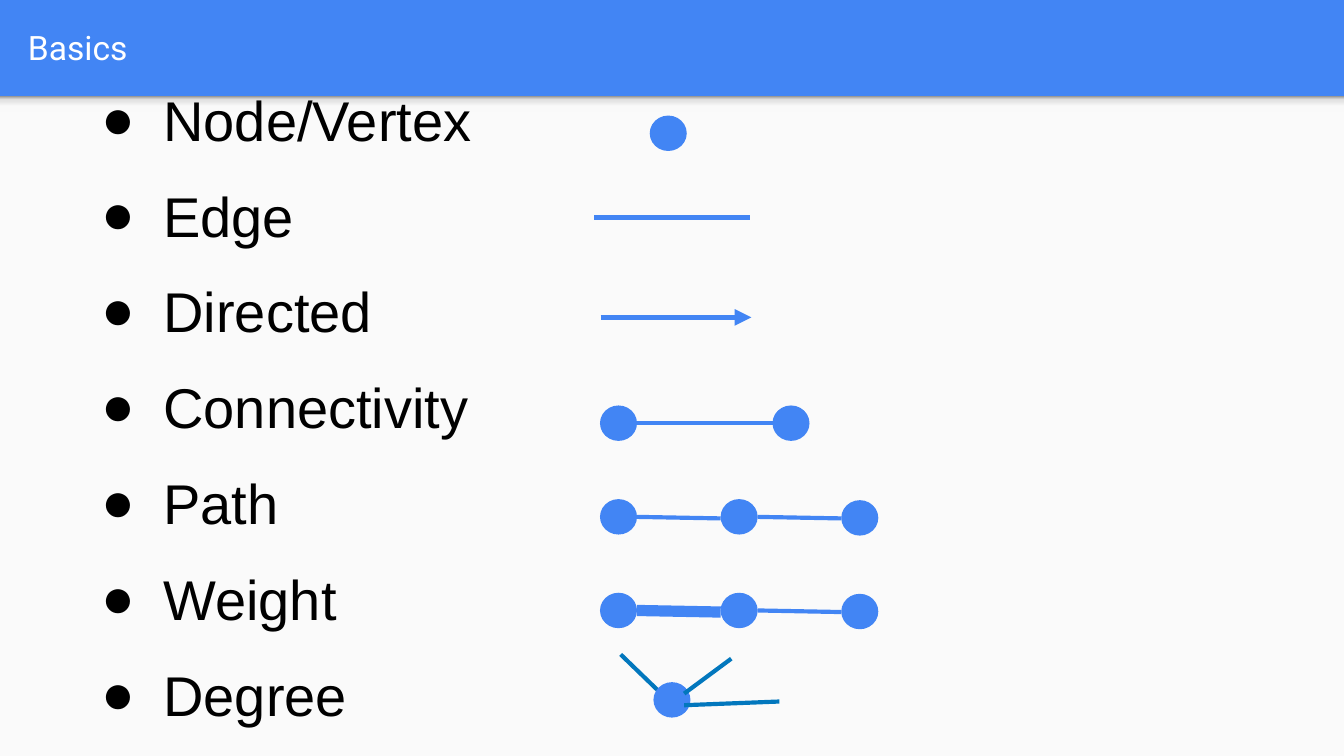
import dataclasses
import itertools
import typing

import pptx
import pptx.dml.color
import pptx.enum.shapes
import pptx.enum.text
import pptx.oxml
import pptx.oxml.ns
import pptx.util

Cm = pptx.util.Cm
Pt = pptx.util.Pt

COLOURS = {
    "blue": "4285F4",
    "dark blue": "0277BD",
    "paper": "FAFAFA",
    "black": "000000",
    "white": "FFFFFF",
}
SHADOW_STOPS = [(0, "F9F9F9"), (36, "F9F9F9"), (80, "DEDEDE"), (100, "999999")]
TERMS = ["Node/Vertex", "Edge", "Directed", "Connectivity", "Path", "Weight", "Degree"]
NAMESPACE = pptx.oxml.ns.nsdecls("a")
SHAPES = pptx.enum.shapes.MSO_SHAPE

PAGE_WIDTH, PAGE_HEIGHT, HEADER_HEIGHT = 25.4, 14.29, 1.82
NODE_WIDTH, NODE_HEIGHT = 0.7, 0.67


# All places and lengths are in centimetres, line weights in points.
@dataclasses.dataclass
class Node:
    x: float
    y: float


@dataclasses.dataclass
class Edge:
    start: tuple[float, float]
    end: tuple[float, float]
    weight: float = 2.25
    colour: str = "blue"
    directed: bool = False


def rgb(name: str) -> pptx.dml.color.RGBColor:
    return pptx.dml.color.RGBColor.from_string(COLOURS[name])


def set_values(target: typing.Any, values: dict[str, typing.Any]) -> None:
    for name, value in values.items():
        setattr(target, name, value)


def draw_shape(shapes, kind, left: float, top: float, width: float, height: float, colour: str):
    shape = shapes.add_shape(kind, Cm(left), Cm(top), Cm(width), Cm(height))
    shape.shadow.inherit = False
    shape.fill.solid()
    shape.fill.fore_color.rgb = rgb(colour)
    shape.line.fill.background()
    return shape


def draw_node(shapes, node: Node) -> None:
    draw_shape(shapes, SHAPES.OVAL, node.x - NODE_WIDTH / 2, node.y - NODE_HEIGHT / 2,
               NODE_WIDTH, NODE_HEIGHT, "blue")


def draw_edge(shapes, edge: Edge) -> None:
    line = shapes.add_connector(pptx.enum.shapes.MSO_CONNECTOR.STRAIGHT,
                                *map(Cm, edge.start + edge.end))
    line.line.color.rgb = rgb(edge.colour)
    line.line.width = Pt(edge.weight)
    if edge.directed:
        line.line._get_or_add_ln().append(
            pptx.oxml.parse_xml(f'<a:tailEnd {NAMESPACE} type="triangle"/>'))
    line._element.spPr.append(pptx.oxml.parse_xml(f"<a:effectLst {NAMESPACE}/>"))


def draw_chain(shapes, nodes: list[Node], weights: list[float], drop: float = 0) -> None:
    """Nodes in a row, each edge running from side to side with a slight drop."""
    for node in nodes:
        draw_node(shapes, node)
    for (left, right), weight in zip(itertools.pairwise(nodes), weights):
        draw_edge(shapes, Edge((left.x + NODE_WIDTH / 2, left.y),
                               (right.x - NODE_WIDTH / 2, left.y + drop), weight))


def draw_text(shapes, left: float, top: float, width: float, height: float,
              lines: list[str], frame_format: dict, font_format: dict, colour: str):
    box = shapes.add_textbox(Cm(left), Cm(top), Cm(width), Cm(height))
    frame = box.text_frame
    margins = dict.fromkeys(
        ["margin_left", "margin_top", "margin_right", "margin_bottom"], Cm(0.25))
    set_values(frame, {"word_wrap": True} | margins | frame_format)
    for index, line in enumerate(lines):
        para = frame.add_paragraph() if index else frame.paragraphs[0]
        span = para.add_run()
        span.text = line
        set_values(span.font, font_format)
        span.font.color.rgb = rgb(colour)
    return box


def add_bullet(para) -> None:
    set_values(para, {"line_spacing": 1.15, "space_before": Pt(10)})
    properties = para._p.get_or_add_pPr()
    properties.set("marL", str(Cm(1.27)))
    properties.set("indent", str(Cm(-1.17)))
    for xml in (f'<a:buClr {NAMESPACE}><a:srgbClr val="{COLOURS["black"]}"/></a:buClr>',
                f'<a:buFont {NAMESPACE} typeface="Arial"/>',
                f'<a:buChar {NAMESPACE} char="●"/>'):
        properties.append(pptx.oxml.parse_xml(xml))


def draw_header_shadow(shapes) -> None:
    shadow = draw_shape(shapes, SHAPES.RECTANGLE, 0, HEADER_HEIGHT, PAGE_WIDTH, 0.3, "paper")
    stops = "".join(f'<a:gs pos="{position * 1000}"><a:srgbClr val="{colour}"/></a:gs>'
                    for position, colour in SHADOW_STOPS)
    gradient = pptx.oxml.parse_xml(
        f'<a:gradFill {NAMESPACE}><a:gsLst>{stops}</a:gsLst>'
        '<a:lin ang="16200000" scaled="0"/></a:gradFill>')
    properties = shadow._element.spPr
    properties.replace(properties.find(pptx.oxml.ns.qn("a:solidFill")), gradient)


def main() -> None:
    deck = pptx.Presentation()
    set_values(deck, {"slide_width": Cm(PAGE_WIDTH), "slide_height": Cm(PAGE_HEIGHT)})
    page = deck.slides.add_slide(deck.slide_layouts[6])
    shapes = page.shapes

    # Blue header above a pale body
    page.background.fill.solid()
    page.background.fill.fore_color.rgb = rgb("blue")
    draw_shape(shapes, SHAPES.RECTANGLE, 0, HEADER_HEIGHT,
               PAGE_WIDTH, PAGE_HEIGHT - HEADER_HEIGHT, "paper")
    draw_header_shadow(shapes)
    draw_text(shapes, 0.28, 0.05, 24.51, 1.68, ["Basics"],
              {"vertical_anchor": pptx.enum.text.MSO_ANCHOR.MIDDLE},
              {"name": "Roboto", "size": Pt(18)}, "white")

    # Terms
    terms = draw_text(shapes, 1.57, 1.17, 8.71, 13.31, TERMS, {},
                      {"name": "Arial", "size": Pt(30)}, "black")
    for para in terms.text_frame.paragraphs:
        add_bullet(para)

    # Node, edge and directed edge
    draw_node(shapes, Node(12.63, 2.52))
    draw_edge(shapes, Edge((11.23, 4.11), (14.17, 4.11)))
    draw_edge(shapes, Edge((11.35, 6), (14.2, 6), weight=3, directed=True))

    # Connectivity, path and weight
    draw_chain(shapes, [Node(11.69, 8), Node(14.95, 8)], [2.25])
    weight_group = shapes.add_group_shape()
    for target, top, weights in ((shapes, 9.77, [2.25, 2.25]),
                                 (weight_group.shapes, 11.54, [6, 2.25])):
        row = [Node(11.69, top), Node(13.97, top), Node(16.25, top + 0.02)]
        draw_chain(target, row, weights, drop=0.03)

    # Degree: three edges meeting at one node
    degree = shapes.add_group_shape().shapes
    draw_edge(degree, Edge((12.62, 13.23), (11.73, 12.37), colour="dark blue"))
    draw_node(degree, Node(12.7, 13.23))
    for start, end in (((12.93, 13.11), (13.82, 12.45)), ((12.93, 13.33), (14.73, 13.26))):
        draw_edge(degree, Edge(start, end, colour="dark blue"))

    deck.save("out.pptx")


if __name__ == "__main__":
    main()
